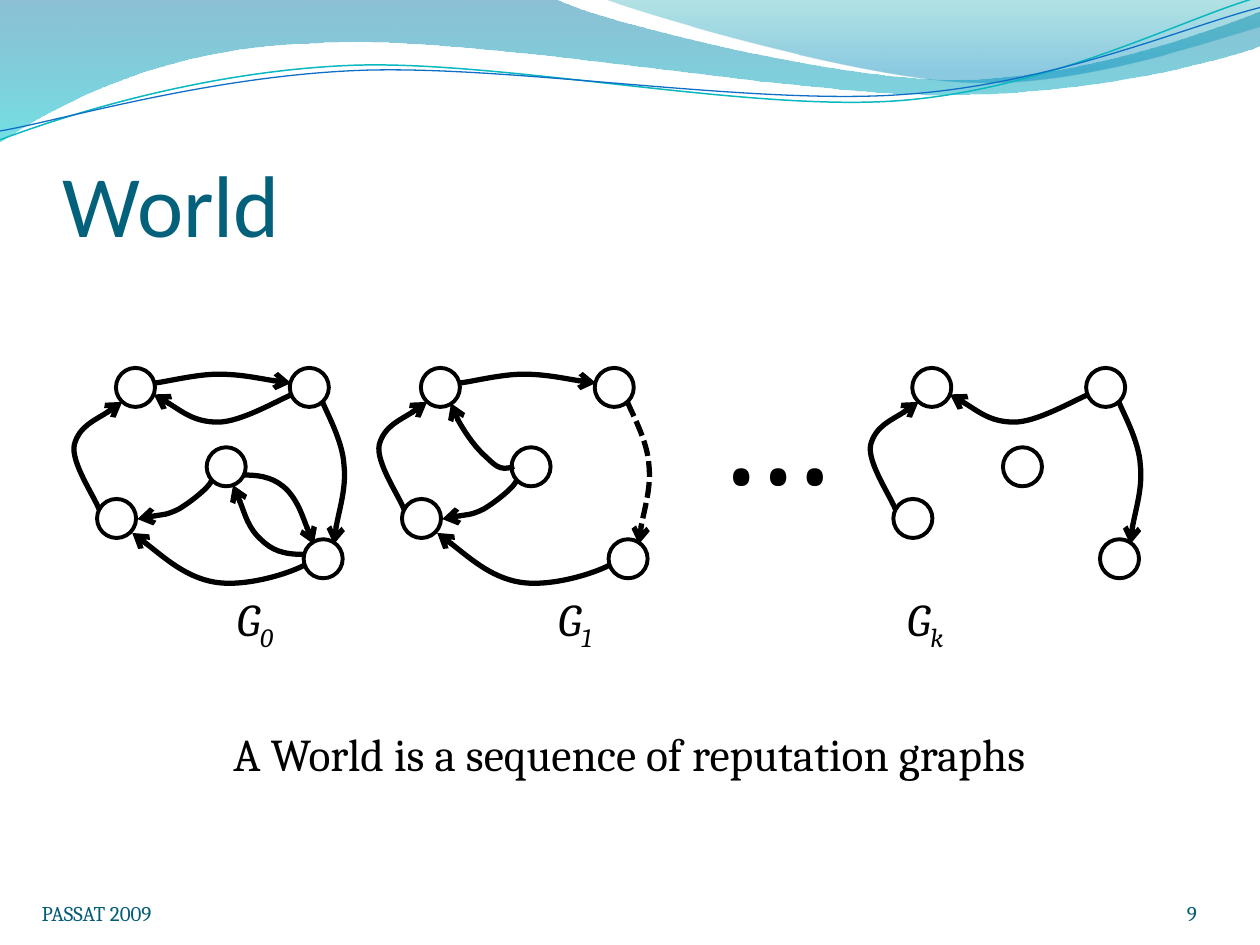
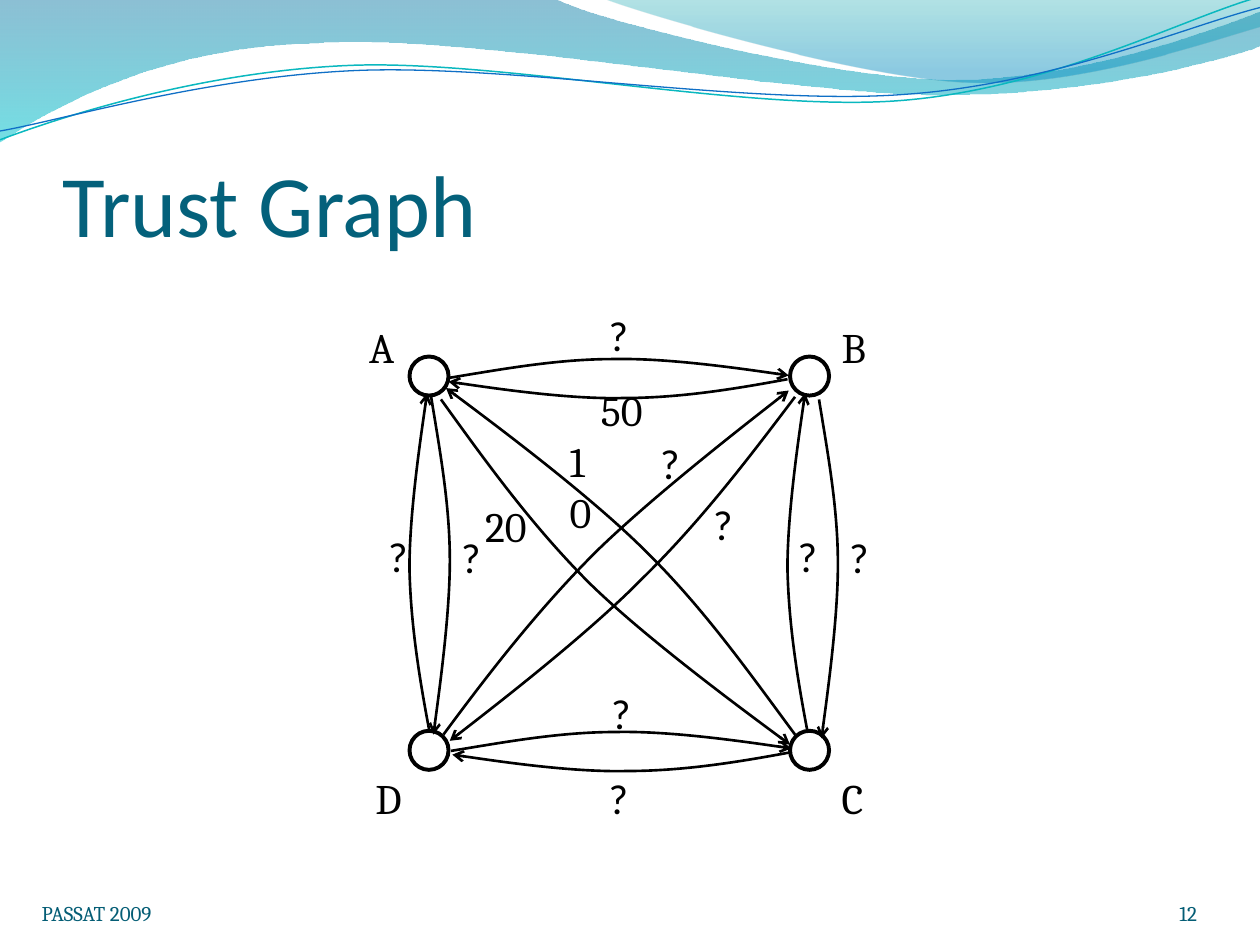
from lxml.etree import SubElement
from pptx import Presentation
from pptx.dml.color import RGBColor as Rgb
from pptx.enum.dml import MSO_LINE as Dash
from pptx.enum.shapes import MSO_SHAPE as Preset
from pptx.enum.text import MSO_ANCHOR as Anchor, PP_ALIGN as Align
from pptx.oxml import parse_xml
from pptx.oxml.ns import nsdecls, qn
from pptx.util import Cm, Pt

GRID = 2.54
NODE = 0.31
COLORS = {
    "ink": "000000", "title": "04617B", "footer": "045D75",
    "deep": "0074A1", "aqua": "00C6CF", "teal": "00A1A9", "sky": "008BBF",
    "teal_line": "0AB8BF", "blue_line": "0F6FC6",
}
BODY = {"name": "Cambria", "size": Pt(26)}
LABEL = {"name": "Cambria", "size": Pt(24)}
QUERY = {"name": "Calibri", "size": Pt(24)}
TITLE = {"name": "Calibri", "size": Pt(50)}
FOOTER = {"name": "Cambria", "size": Pt(12)}

BANDS = [
    ((0, 0), [(4.4, -0.01), (4.76, 0.17, 6.64, 0.63, 7.58, 0.63),
              (8.53, 0.63, 9.58, 0.26, 10, 0.09), (10.01, 0.36),
              (9.83, 0.44, 8.7, 0.76, 7.46, 0.75),
              (6.22, 0.75, 3.82, 0.28, 2.57, 0.34),
              (1.29, 0.36, 0.46, 0.83, -0.01, 1.13)],
     [(0, "deep", 45), (1, "aqua", 55)]),
    ((4.79, -0.01), [(5.09, 0.11, 6.82, 0.62, 7.69, 0.65),
                     (8.56, 0.69, 9.61, 0.32, 10, 0.21), (10, 0)],
     [(0, "teal", 30), (0.8, "sky", 45)]),
]
WAVES = [
    ((0, 1.11), [(0.48, 0.93, 1.58, 0.57, 2.77, 0.52),
                 (3.95, 0.47, 5.93, 0.89, 7.13, 0.8),
                 (8.33, 0.71, 9.38, 0.15, 9.98, -0.02)], "teal_line", 0.85),
    ((0, 1.04), [(0.47, 0.96, 1.64, 0.61, 2.83, 0.56),
                 (4.03, 0.51, 5.97, 0.84, 7.17, 0.75),
                 (8.36, 0.67, 9.41, 0.21, 10, 0.06)], "blue_line", 0.75),
]

WORLD_NODES = [(1.71, 0), (0.33, 0), (1.82, 1.36), (0.18, 1.04), (1.05, 0.63)]
WORLD_EDGES = {
    "top": ((0.64, 0.12), [(0.73, 0.11, 0.97, 0.05, 1.14, 0.05),
                           (1.32, 0.05, 1.6, 0.11, 1.72, 0.12)]),
    "top back": ((1.73, 0.21), [(1.61, 0.26, 1.32, 0.43, 1.14, 0.43),
                                (0.95, 0.43, 0.71, 0.25, 0.63, 0.21)]),
    "left": ((0.2, 1.13), [(0.16, 1.02, -0.03, 0.75, 0, 0.61),
                           (0.04, 0.46, 0.32, 0.33, 0.38, 0.27)]),
    "right": ((1.97, 0.27), [(2, 0.35, 2.13, 0.58, 2.14, 0.77),
                             (2.16, 0.95, 2.06, 1.28, 2.06, 1.4)]),
    "bottom": ((1.82, 1.57), [(1.66, 1.65, 1.33, 1.74, 1.11, 1.7),
                              (0.88, 1.66, 0.56, 1.38, 0.46, 1.31)]),
    "hub left": ((1.09, 0.89), [(1.08, 0.94, 0.93, 1.06, 0.83, 1.12),
                                (0.73, 1.17, 0.57, 1.18, 0.5, 1.2)]),
    "hub down": ((1.35, 0.85), [(1.5, 0.85, 1.6, 0.88, 1.69, 0.97),
                                (1.78, 1.07, 1.86, 1.31, 1.9, 1.4)]),
    "hub in": ((1.82, 1.48), [(1.66, 1.48, 1.57, 1.45, 1.48, 1.36),
                              (1.38, 1.27, 1.31, 1.03, 1.26, 0.93)]),
    "hub up": ((1.07, 0.78), [(0.95, 0.83, 0.91, 0.76, 0.82, 0.68),
                              (0.74, 0.6, 0.58, 0.37, 0.57, 0.28)]),
}
SHARED_EDGES = ["left", "bottom", "hub left", "top"]
WORLDS = [
    (0.59, SHARED_EDGES + ["top back", "hub down", "hub in", "right"], [], "0", 1.88),
    (3.01, SHARED_EDGES + ["hub up"], ["right"], "1", 4.43),
    (6.91, ["top back", "left", "right"], [], "k", 7.2),
]

TRUST_NODES = [(x, y) for x in (0, 3.02) for y in (0, 2.97)]
TRUST_EDGES = [
    ((0.31, 0.17), [(0.74, 0.1, 1.17, 0.02, 1.62, 0.02),
                    (2.07, 0.01, 3.01, 0.15, 3.01, 0.15)], [(0, 0), (0.02, 2.96)]),
    ((3, 0.18), [(2.57, 0.26, 2.14, 0.33, 1.69, 0.33),
                 (1.24, 0.34, 0.31, 0.2, 0.31, 0.2)], [(0, 0), (0.03, 2.96)]),
    ((0.16, 2.98), [(0.08, 2.56, 0.01, 2.13, 0, 1.68),
                    (0, 1.23, 0.14, 0.29, 0.14, 0.29)], [(0, 0), (3, 0)]),
    ((0.17, 0.31), [(0.24, 0.74, 0.32, 1.17, 0.32, 1.62),
                    (0.32, 2.06, 0.19, 3, 0.19, 3)], [(0, 0), (3.08, 0.03)]),
    ((0.27, 3), [(0.64, 2.5, 1.02, 2.01, 1.48, 1.55),
                 (1.94, 1.1, 3.01, 0.27, 3.01, 0.27)], [(0, 0)]),
    ((3.06, 0.32), [(2.69, 0.81, 2.31, 1.31, 1.85, 1.76),
                    (1.4, 2.22, 0.32, 3.05, 0.32, 3.05)], [(0, 0)]),
    ((3.06, 3), [(2.69, 2.5, 2.33, 1.99, 1.87, 1.54),
                 (1.41, 1.08, 0.29, 0.25, 0.29, 0.25)], [(0, 0)]),
    ((0.25, 0.34), [(0.61, 0.84, 0.97, 1.34, 1.43, 1.8),
                    (1.89, 2.25, 3.02, 3.08, 3.02, 3.08)], [(0, 0)]),
]
TRUST_LABELS = [
    ("50", 1.52, 0.22, 0.4), ("10", 1.27, 0.63, 0.29), ("20", 0.6, 1.14, 0.4),
    ("A", -0.32, -0.28, 0.4), ("B", 3.43, -0.28, 0.4),
    ("C", 3.43, 3.3, 0.4), ("D", -0.27, 3.3, 0.4),
]
QUERY_SPOTS = [
    (1.58, -0.37), (3.49, 1.39), (3.08, 1.38), (1.99, 0.64), (2.41, 1.13),
    (1.6, 2.63), (1.58, 3.3), (0.41, 1.39), (-0.17, 1.38),
]


def grid(value):
    """Turn page grid units into a length."""
    return Cm(value * GRID)


def color(name):
    """Look up a named colour."""
    return Rgb.from_string(COLORS[name])


def add_text(page, box, runs, font, ink="ink", align=Align.LEFT, anchor=Anchor.TOP):
    """Write one paragraph of (text, format) runs in a box without margins."""
    frame = page.shapes.add_textbox(*map(grid, box)).text_frame
    layout = {"word_wrap": True, "vertical_anchor": anchor, "margin_left": 0,
              "margin_top": 0, "margin_right": 0, "margin_bottom": 0}
    for key, value in layout.items():
        setattr(frame, key, value)
    para = frame.paragraphs[0]
    para.alignment = align
    for text, extra in runs:
        span = para.add_run()
        span.text = text
        span.font.color.rgb = color(ink)
        for key, value in {**font, **extra}.items():
            setattr(span.font, key, value)
    return para


def add_outline(page, origin, start, segments, closed=False):
    """Build an outline of lines (2 numbers) and curves (6 numbers)."""
    left, top = origin
    points = [(grid(left + part[i]), grid(top + part[i + 1]))
              for part in segments for i in range(0, len(part), 2)]
    builder = page.shapes.build_freeform(grid(left + start[0]), grid(top + start[1]))
    builder.add_line_segments(points, close=closed)
    shape = builder.convert_to_shape()
    shape.shadow.inherit = False
    steps = iter(list(shape._element.iter(qn("a:lnTo"))))
    for part in segments:
        group = [next(steps) for _ in range(len(part) // 2)]
        if len(group) == 3:
            curve = parse_xml(f"<a:cubicBezTo {nsdecls('a')}/>")
            group[0].addprevious(curve)
            for step in group:
                curve.append(step[0])
                step.getparent().remove(step)
    return shape


def add_curve(page, origin, start, segments, ink, width, dash=None, arrow=True):
    """Draw an open curve, with an arrowhead at its end if wanted."""
    shape = add_outline(page, origin, start, segments)
    shape.fill.background()
    shape.line.color.rgb = color(ink)
    shape.line.width = Pt(width)
    if dash:
        shape.line.dash_style = dash
    if arrow:
        line = shape._element.spPr.find(qn("a:ln"))
        SubElement(line, qn("a:tailEnd"), type="arrow")


def add_nodes(page, origin, spots):
    """Draw the graph nodes as open circles."""
    for x, y in spots:
        node = page.shapes.add_shape(
            Preset.OVAL, grid(origin[0] + x), grid(origin[1] + y), grid(NODE), grid(NODE))
        node.shadow.inherit = False
        node.fill.background()
        node.line.color.rgb = color("ink")
        node.line.width = Pt(2.25)


def add_band(page, origin, start, segments, stops):
    """Draw one translucent gradient band."""
    band = add_outline(page, origin, start, segments, closed=True)
    band.line.fill.background()
    band.fill.gradient()
    band.fill.gradient_angle = 270
    for stop, (position, name, _) in zip(band.fill.gradient_stops, stops):
        stop.position = position
        stop.color.rgb = color(name)
    tints = band._element.spPr.iter(qn("a:srgbClr"))
    for tint, (_, _, opacity) in zip(list(tints), stops):
        SubElement(tint, qn("a:alpha"), val=str(opacity * 1000))


def start_page(deck, title, number):
    """Add a page with the wave header, title, footer and number."""
    page = deck.slides.add_slide(deck.slide_layouts[6])
    for start, segments, stops in BANDS:
        add_band(page, (0, 0), start, segments, stops)
    for start, segments, ink, width in WAVES:
        add_curve(page, (0, 0), start, segments, ink, width, arrow=False)
    add_text(page, (0.5, 0.77, 9, 1.25), [(title, {})], TITLE, "title", anchor=Anchor.BOTTOM)
    add_text(page, (0.33, 7.08, 1.08, 0.27), [("PASSAT 2009", {})], FOOTER, "footer",
             anchor=Anchor.BOTTOM)
    add_text(page, (8.67, 6.95, 0.83, 0.4), [(str(number), {})], FOOTER, "footer",
             Align.RIGHT, Anchor.BOTTOM)
    return page


def add_world_graph(page, origin, solid, dashed):
    """Draw one reputation graph with its solid and dashed edges."""
    add_nodes(page, origin, WORLD_NODES)
    for names, dash in ((solid, None), (dashed, Dash.SQUARE_DOT)):
        for name in names:
            add_curve(page, origin, *WORLD_EDGES[name], "ink", 3, dash)


def add_trust_graph(page, origin):
    """Draw the four-node trust graph with its labels."""
    left, top = origin
    add_nodes(page, origin, TRUST_NODES)
    for start, segments, shifts in TRUST_EDGES:
        for x, y in shifts:
            add_curve(page, (left + x, top + y), start, segments, "ink", 1.5)
    for text, x, y, width in TRUST_LABELS:
        add_text(page, (left + x, top + y, width, 0.4), [(text, {})], LABEL)
    for x, y in QUERY_SPOTS:
        add_text(page, (left + x, top + y, 0.3, 0.4), [("?", {})], QUERY)


def build_world(deck):
    """Build the page that shows a sequence of graphs."""
    page = start_page(deck, "World", 9)
    for left, solid, dashed, index, label_left in WORLDS:
        add_world_graph(page, (left, 2.92), solid, dashed)
        para = add_text(page, (label_left, 4.69, 0.6, 0.45),
                        [("G", {"italic": True}), (index, {"italic": True})], BODY)
        para.runs[1].font._element.set("baseline", "-25000")
    add_text(page, (5.68, 2.63, 0.95, 1.48), [("…", {})], {"name": "Cambria", "size": Pt(88)})
    add_text(page, (0.5, 5.76, 9, 0.45),
             [("A World is a sequence of reputation graphs", {})], BODY, align=Align.CENTER)


def build_trust(deck):
    """Build the page that shows the trust graph."""
    add_trust_graph(start_page(deck, "Trust Graph", 12), (3.25, 2.83))


def main():
    """Build and save the deck."""
    deck = Presentation()
    deck.slide_width, deck.slide_height = Cm(25.4), Cm(19.05)
    build_world(deck)
    build_trust(deck)
    deck.save("out.pptx")


if __name__ == "__main__":
    main()
